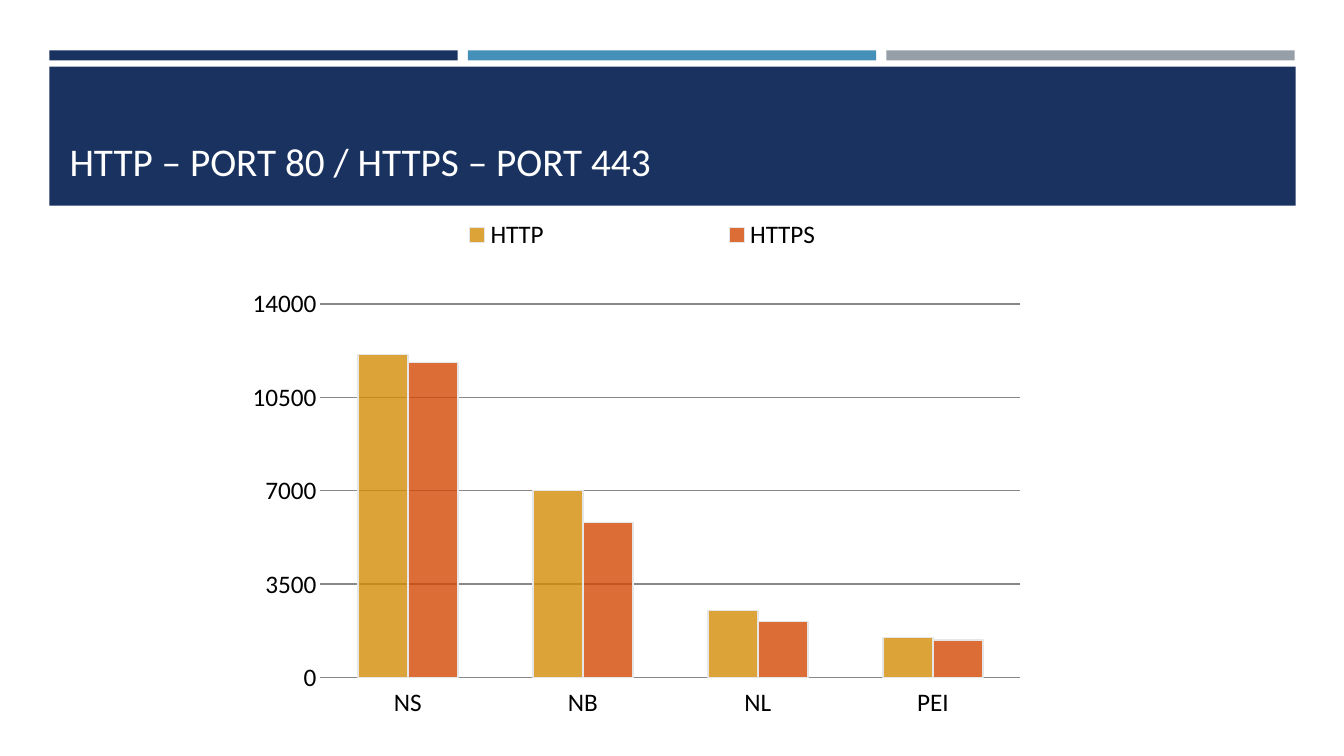
import pptx
import pptx.util
import pptx.chart.data
import pptx.dml.color
import pptx.enum.chart
import pptx.enum.shapes
import pptx.enum.text
import pptx.oxml

RGB = pptx.dml.color.RGBColor
NAVY = RGB(0x1A, 0x32, 0x60)
BLUE = RGB(0x45, 0x90, 0xB8)
GREY = RGB(0x96, 0x9F, 0xA7)
WHITE = RGB(0xFF, 0xFF, 0xFF)
BLACK = RGB(0x00, 0x00, 0x00)
GRID = RGB(0x88, 0x88, 0x88)
BAR_EDGE = RGB(0xE6, 0xE6, 0xE6)
GOLD = RGB(0xD3, 0x8C, 0x07)
ORANGE = RGB(0xD4, 0x49, 0x06)

EMU_PER_PX = 9144  # 100 px to the inch
NS = 'xmlns:%s="http://schemas.openxmlformats.org/drawingml/2006/%s"'


def px(*lengths):
    return [pptx.util.Emu(length * EMU_PER_PX) for length in lengths]


class SlideBuilder:
    font_name = "Calibri"

    def __init__(self, deck):
        self.page = deck.slides.add_slide(deck.slide_layouts[5])

    def style_font(self, font, size, color):
        font.name = self.font_name
        font.size = pptx.util.Pt(size)
        font.bold = False
        font.color.rgb = color

    def bar(self, left, top, width, height, color):
        box = self.page.shapes.add_shape(
            pptx.enum.shapes.MSO_SHAPE.RECTANGLE, *px(left, top, width, height))
        box.shadow.inherit = False
        box.fill.solid()
        box.fill.fore_color.rgb = color
        box.line.fill.background()

    def title(self, left, top, width, height, text):
        box = self.page.shapes.title
        box.left, box.top, box.width, box.height = px(left, top, width, height)
        # Bring the title in front of its band
        box.element.getparent().append(box.element)
        frame = box.text_frame
        frame.word_wrap = True
        frame.auto_size = pptx.enum.text.MSO_AUTO_SIZE.NONE
        frame.vertical_anchor = pptx.enum.text.MSO_ANCHOR.BOTTOM
        frame.margin_left, frame.margin_top, frame.margin_right, frame.margin_bottom = px(5, 5, 5, 5)
        para = frame.paragraphs[0]
        para.alignment = pptx.enum.text.PP_ALIGN.LEFT
        span = para.add_run()
        span.text = text
        self.style_font(span.font, 28, WHITE)

    def place(self, element, x, y, w, h, inner=False):
        """Return a manual layout, given as fractions of the chart."""
        target = '<c:layoutTarget val="inner"/>' if inner else ""
        modes = '<c:xMode val="edge"/><c:yMode val="edge"/>'
        sizes = "".join(f'<c:{key} val="{value}"/>'
                        for key, value in zip("xywh", (x, y, w, h)))
        for old in element.findall("{*}layout"):
            element.remove(old)
        layout = pptx.oxml.parse_xml(
            f'<c:layout {NS % ("c", "chart")}><c:manualLayout>'
            f'{target}{modes}{sizes}</c:manualLayout></c:layout>')
        return layout

    def column_chart(self, left, top, width, height, categories, series):
        data = pptx.chart.data.CategoryChartData()
        data.categories = categories
        for name, values, color in series:
            data.add_series(name, values)
        chart = self.page.shapes.add_chart(
            pptx.enum.chart.XL_CHART_TYPE.COLUMN_CLUSTERED,
            *px(left, top, width, height), data).chart
        chart.has_title = False
        self.style_font(chart.font, 18, BLACK)

        # Columns
        plot = chart.plots[0]
        plot.gap_width = 150
        plot.overlap = 0
        plot.vary_by_categories = False
        for column, (name, values, color) in zip(plot.series, series):
            fill = column.format.fill
            fill.solid()
            fill.fore_color.rgb = color
            shade = column.format.fill._xPr.find(".//{*}srgbClr")
            shade.append(pptx.oxml.parse_xml(
                f'<a:alpha {NS % ("a", "main")} val="80000"/>'))
            column.format.line.color.rgb = BAR_EDGE
            column.format.line.width = pptx.util.Pt(1)

        # Axes
        for axis in (chart.category_axis, chart.value_axis):
            axis.major_tick_mark = pptx.enum.chart.XL_TICK_MARK.NONE
            axis.minor_tick_mark = pptx.enum.chart.XL_TICK_MARK.NONE
            axis.format.line.fill.background()
            self.style_font(axis.tick_labels.font, 18, BLACK)
        chart.category_axis.tick_label_position = pptx.enum.chart.XL_TICK_LABEL_POSITION.LOW
        scale = chart.value_axis
        scale.minimum_scale, scale.maximum_scale, scale.major_unit = 0, 14000, 3500
        scale.tick_labels.number_format = "General"
        scale.tick_labels.number_format_is_linked = False
        scale.has_major_gridlines = True
        scale.major_gridlines.format.line.color.rgb = GRID
        scale.major_gridlines.format.line.width = pptx.util.Pt(1)

        # Legend and plot positions
        chart.has_legend = True
        legend = chart.legend
        legend.position = pptx.enum.chart.XL_LEGEND_POSITION.TOP
        legend.include_in_layout = True
        self.style_font(legend.font, 18, BLACK)
        key = legend._element
        key.find("{*}legendPos").addnext(self.place(key, 0.08, 0, 0.88, 0.09))
        area = chart.element.find(".//{*}plotArea")
        area.insert(0, self.place(area, 0.115, 0.18, 0.88, 0.728, inner=True))


def main():
    deck = pptx.Presentation()
    deck.slide_width, deck.slide_height = px(1333, 750)
    slide = SlideBuilder(deck)

    # Header stripes and title band
    for index, color in enumerate((NAVY, BLUE, GREY)):
        slide.bar(49 + 415 * index, 50, 405, 10, color)
    slide.bar(49, 66, 1236, 138, NAVY)
    slide.title(64, 80, 1206, 108, "HTTP – PORT 80 / HTTPS – PORT 443")

    # Open ports by province
    slide.column_chart(227, 210, 789, 509, ("NS", "NB", "NL", "PEI"), (
        ("HTTP", (12100, 7000, 2500, 1500), GOLD),
        ("HTTPS", (11800, 5800, 2100, 1400), ORANGE),
    ))
    deck.save("out.pptx")


if __name__ == "__main__":
    main()
